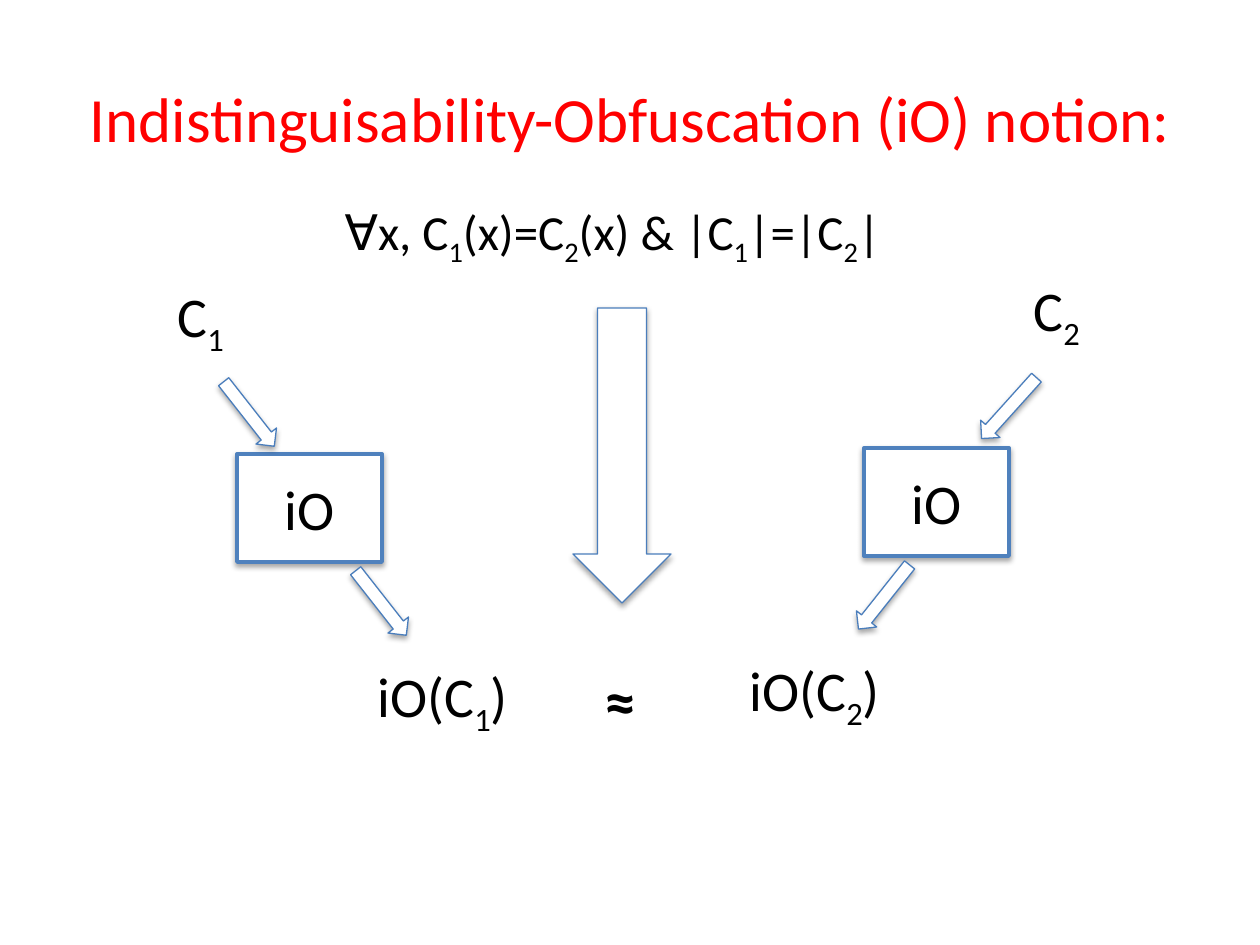
from lxml import etree
from pptx import Presentation, util as u
from pptx.dml.color import RGBColor
from pptx.enum import shapes, text
from pptx.oxml import ns

PX = 914400 / 126
RED = RGBColor(0xFF, 0x00, 0x00)
BLACK = RGBColor(0x00, 0x00, 0x00)
WHITE = RGBColor(0xFF, 0xFF, 0xFF)
BLUE = RGBColor(0x4F, 0x81, 0xBD)
EDGE = RGBColor(0x4B, 0x7E, 0xBC)
KIND = shapes.MSO_SHAPE


def emu(*px):
    return [u.Emu(round(n * PX)) for n in px]


def write(frame, runs, size, color=BLACK, bold=False, center=False):
    """Add runs by turns: plain text, subscript, plain text, and so on."""
    para = frame.paragraphs[0]
    para.alignment = text.PP_ALIGN.CENTER if center else text.PP_ALIGN.LEFT
    for i, part in enumerate(runs):
        run = para.add_run()
        run.text = part
        font = run.font
        font.name, font.size, font.bold = "Calibri", u.Pt(size), bold
        font.color.rgb = color
        if i % 2:
            run._r.get_or_add_rPr().set("baseline", "-25000")


def label(slide, box, runs, size=32, **style):
    frame = slide.shapes.add_textbox(*emu(*box)).text_frame
    frame.word_wrap = False
    frame.auto_size = text.MSO_AUTO_SIZE.SHAPE_TO_FIT_TEXT
    write(frame, runs, size, **style)


def shade(shape):
    shape.shadow.inherit = False
    effect = shape._element.spPr.find(ns.qn("a:effectLst"))
    outer = etree.SubElement(effect, ns.qn("a:outerShdw"), blurRad="40000",
                             dist="23000", dir="5400000", rotWithShape="0")
    black = etree.SubElement(outer, ns.qn("a:srgbClr"), val="000000")
    etree.SubElement(black, ns.qn("a:alpha"), val="35000")


def block(slide, kind, box, line=EDGE, width=0.75, turn=0):
    shape = slide.shapes.add_shape(kind, *emu(*box))
    shape.fill.solid()
    shape.fill.fore_color.rgb = WHITE
    shape.line.color.rgb = line
    shape.line.width = u.Pt(width)
    shape.rotation = turn
    shade(shape)
    return shape


def title(slide, box):
    frame = slide.shapes.add_textbox(*emu(*box)).text_frame
    frame.word_wrap = True
    frame.vertical_anchor = text.MSO_ANCHOR.MIDDLE
    write(frame, ["Indistinguisability-Obfuscation (iO) notion:"], 36,
          color=RED, center=True)


def branch(slide, x, y, num, cols, turns):
    """Circuit, arrow, iO box, arrow, result; cols are their left offsets."""
    name, first, gate, second, out = [x + c for c in cols]
    # Obfuscator
    rect = block(slide, KIND.RECTANGLE, (gate, y + 179, 145, 108), BLUE, 2.25)
    rect.text_frame.vertical_anchor = text.MSO_ANCHOR.MIDDLE
    write(rect.text_frame, ["iO"], 32, center=True)
    # Arrows in and out
    for left, top, turn in zip((first, second), (126, 315), turns):
        block(slide, KIND.RIGHT_ARROW, (left, y + top, 82, 26), turn=turn)
    # Circuit and result
    label(slide, (name, y, 74, 81), ["C", num])
    label(slide, (out, y + 380, 160, 81), ["iO(C", num, ")"])


def middle(slide, x, y):
    """Condition, arrow down, and the sign between the results."""
    label(slide, (x, y, 609, 72),
          ["∀x, C", "1", "(x)=C", "2", "(x) & |C", "1", "|=|C", "2", "|"],
          28, center=True)
    block(slide, KIND.DOWN_ARROW, (x + 265, y + 113, 98, 295))
    label(slide, (x + 284, y + 460, 57, 89), ["≈"], 36, bold=True)


def main():
    deck = Presentation()
    deck.slide_width, deck.slide_height = emu(1260, 945)
    slide = deck.slides.add_slide(deck.slide_layouts[6])
    title(slide, (63, 38, 1134, 158))
    branch(slide, 165, 275, "1", (0, 43, 72, 175, 200), (51.9, 51.9))
    branch(slide, 737, 269, "2", (284, 231, 127, 106, 0), (132, 128.5))
    middle(slide, 308, 195)
    deck.save("out.pptx")


if __name__ == "__main__":
    main()
